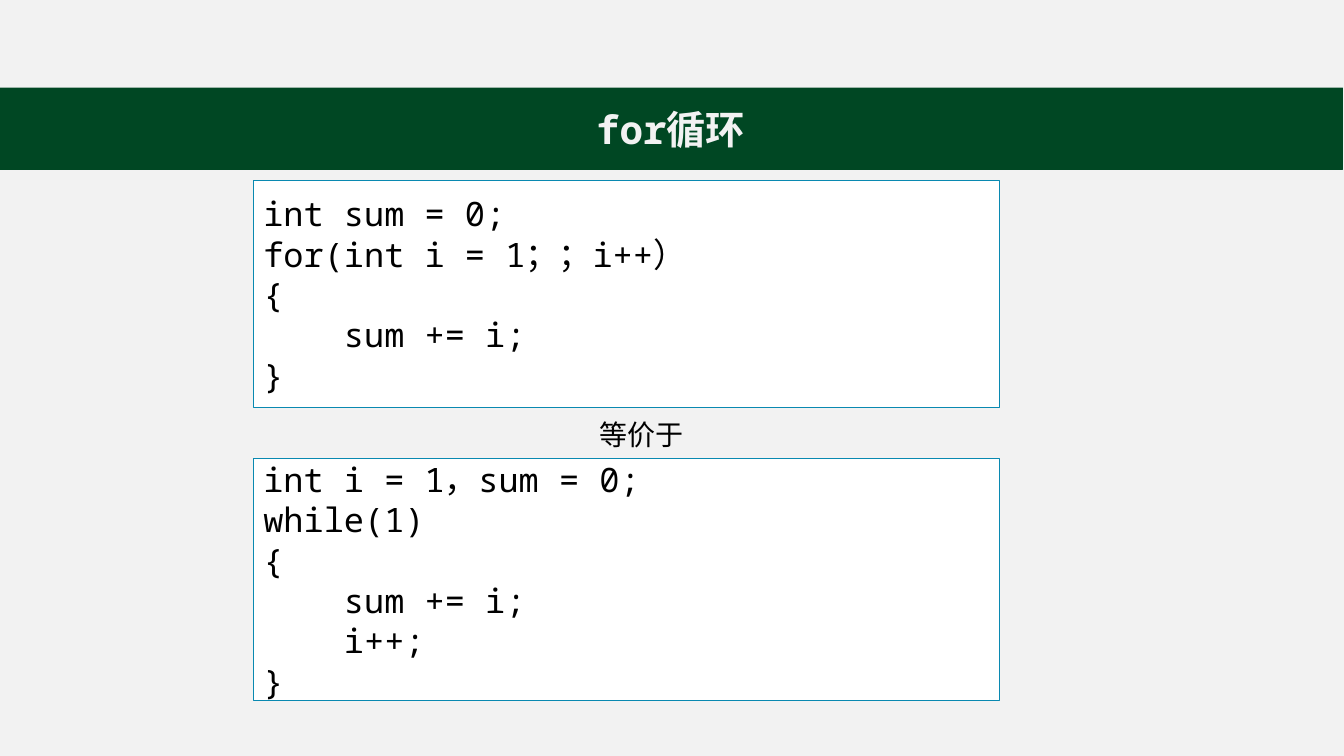
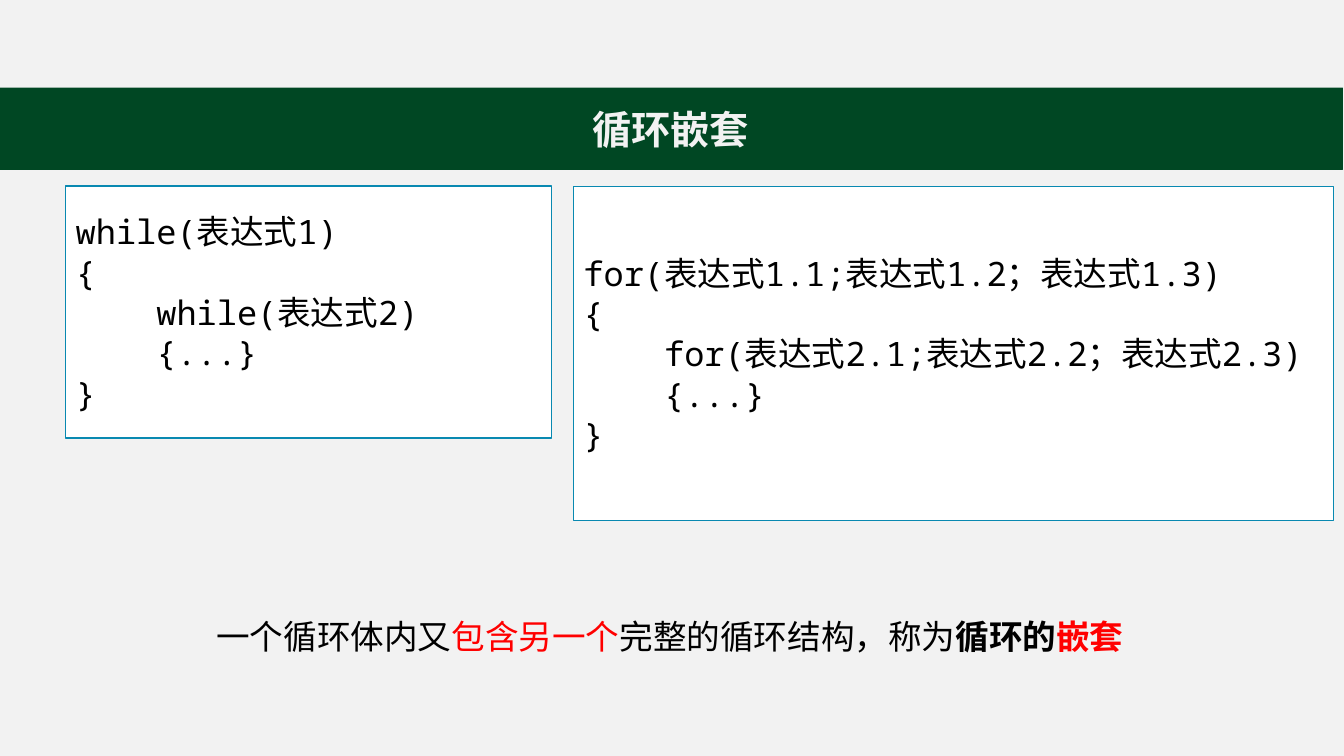
import pptx
import pptx.dml.color
import pptx.enum.shapes
import pptx.enum.text
import pptx.oxml.ns
import pptx.util
from lxml import etree

Pt = pptx.util.Pt
ALIGN = pptx.enum.text.PP_ALIGN
MIDDLE = pptx.enum.text.MSO_ANCHOR.MIDDLE

MONO = "Noto Sans Mono"
CJK = "Noto Sans CJK SC"
PAPER = "F2F2F2"
GREEN = "004723"
BLUE = "0989B1"
WHITE = "FFFFFF"
BLACK = "000000"
RED = "FF0000"

SLIDE_W, SLIDE_H = 960, 540
HEADER_H, BAND_H = 62.6, 58.4


def paint(target, color):
    """Give a fill (or a font's or line's fill) one solid colour."""
    target.solid()
    target.fore_color.rgb = pptx.dml.color.RGBColor.from_string(color)


def outline(shape, color):
    paint(shape.line.fill, color)
    shape.line.width = Pt(1)


def add_run(paragraph, text, size, color=BLACK, bold=False, latin=MONO):
    run = paragraph.add_run()
    run.text = text
    run.font.size = Pt(size)
    run.font.bold = bold
    run.font.name = latin
    paint(run.font.fill, color)
    east_asian = etree.SubElement(run.font._element, pptx.oxml.ns.qn("a:ea"))
    east_asian.set("typeface", CJK)


def add_panel(slide, left, top, width, height, fill):
    panel = slide.shapes.add_shape(
        pptx.enum.shapes.MSO_SHAPE.RECTANGLE,
        Pt(left), Pt(top), Pt(width), Pt(height))
    panel.shadow.inherit = False
    paint(panel.fill, fill)
    panel.line.fill.background()
    return panel


def add_titled_slide(deck, title):
    """Start a slide with the header strip and the green title band."""
    slide = deck.slides.add_slide(deck.slide_layouts[5])
    add_panel(slide, 0, 0, SLIDE_W, HEADER_H, PAPER)
    band = slide.shapes.title
    band.left, band.top = Pt(-1), Pt(HEADER_H)
    band.width, band.height = Pt(SLIDE_W), Pt(BAND_H)
    paint(band.fill, GREEN)
    outline(band, GREEN)
    frame = band.text_frame
    frame.auto_size = pptx.enum.text.MSO_AUTO_SIZE.NONE
    frame.vertical_anchor = MIDDLE
    heading = frame.paragraphs[0]
    heading.alignment = ALIGN.CENTER
    add_run(heading, title, 28, PAPER, bold=True)
    return slide


def add_code(slide, left, top, width, height, code):
    panel = add_panel(slide, left, top, width, height, WHITE)
    outline(panel, BLUE)
    frame = panel.text_frame
    frame.word_wrap = True
    frame.vertical_anchor = MIDDLE
    for number, line in enumerate(code.split("\n")):
        paragraph = frame.add_paragraph() if number else frame.paragraphs[0]
        paragraph.alignment = ALIGN.LEFT
        add_run(paragraph, line, 24)


def add_statement(slide, left, top, width, height, size, parts):
    """Add a centred line of (text, colour, bold) parts."""
    box = slide.shapes.add_textbox(Pt(left), Pt(top), Pt(width), Pt(height))
    frame = box.text_frame
    frame.word_wrap = True
    frame.margin_left = frame.margin_right = 0
    frame.margin_top = frame.margin_bottom = 0
    paragraph = frame.paragraphs[0]
    paragraph.alignment = ALIGN.CENTER
    paragraph.line_spacing = 1.5
    for text, color, bold in parts:
        add_run(paragraph, text, size, color, bold, CJK)


FOR_SUM = """int sum = 0;
for(int i = 1；；i++）
{
    sum += i;
}"""

WHILE_SUM = """int i = 1，sum = 0;
while(1)
{
    sum += i;
    i++;
}"""

NESTED_WHILE = """while(表达式1)
{
    while(表达式2)
    {...}
}"""

NESTED_FOR = """for(表达式1.1;表达式1.2；表达式1.3)
{
    for(表达式2.1;表达式2.2；表达式2.3)
    {...}
}"""


def build_for_loop(deck):
    slide = add_titled_slide(deck, "for循环")
    add_statement(slide, 137.5, 286.5, 641.5, 36, 20,
                  [("等价于", BLACK, False)])
    add_code(slide, 181, 129, 533, 162, FOR_SUM)
    add_code(slide, 181, 327.6, 533, 173, WHILE_SUM)


def build_nesting(deck):
    slide = add_titled_slide(deck, "循环嵌套")
    add_statement(slide, 114.5, 425.5, 728, 38, 24, [
        ("一个循环体内又", BLACK, False),
        ("包含另一个", RED, False),
        ("完整的循环结构，称为", BLACK, False),
        ("循环的", BLACK, True),
        ("嵌套", RED, True),
    ])
    add_code(slide, 47, 133, 347, 180, NESTED_WHILE)
    add_code(slide, 409.7, 133, 543, 239, NESTED_FOR)


def main():
    deck = pptx.Presentation()
    deck.slide_width, deck.slide_height = Pt(SLIDE_W), Pt(SLIDE_H)
    paint(deck.slide_master.background.fill, PAPER)
    build_for_loop(deck)
    build_nesting(deck)
    deck.save("out.pptx")


if __name__ == "__main__":
    main()
